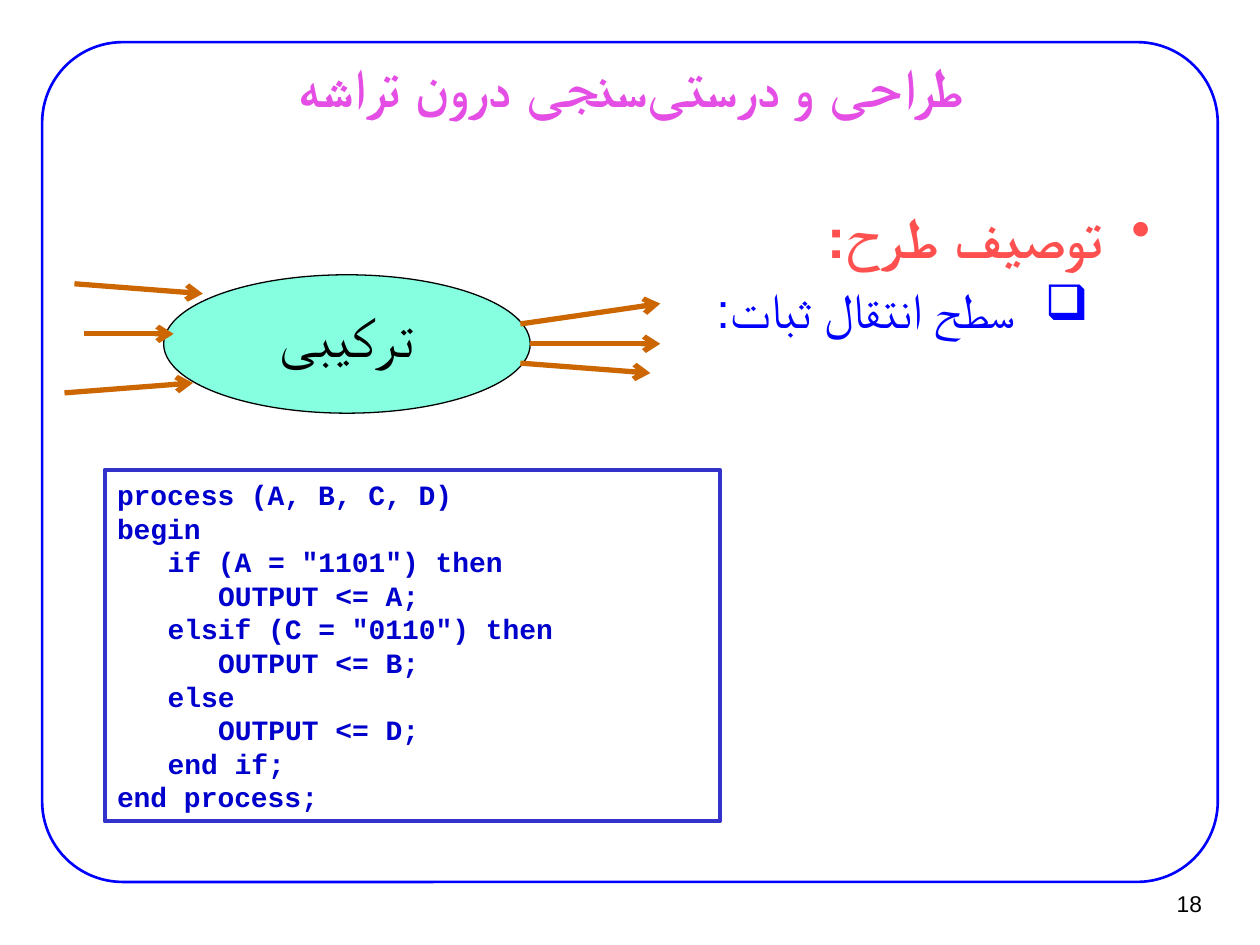
from dataclasses import dataclass
from typing import Optional

from lxml.etree import SubElement
from pptx import Presentation
from pptx.dml.color import RGBColor
from pptx.enum.shapes import MSO_CONNECTOR, MSO_SHAPE
from pptx.enum.text import MSO_ANCHOR, PP_ALIGN
from pptx.oxml.ns import qn
from pptx.util import Cm, Pt

BLACK = RGBColor(0x00, 0x00, 0x00)
BLUE = RGBColor(0x00, 0x00, 0xFF)
CODE_BLUE = RGBColor(0x00, 0x00, 0xCC)
BORDER_BLUE = RGBColor(0x33, 0x33, 0xCC)
PINK = RGBColor(0xE4, 0x4E, 0xE4)
RED = RGBColor(0xFF, 0x50, 0x50)
MINT = RGBColor(0x85, 0xFF, 0xE0)
ORANGE = RGBColor(0xCC, 0x66, 0x00)


@dataclass(frozen=True)
class Box:
    left: float
    top: float
    width: float
    height: float

    def lengths(self) -> tuple:
        return Cm(self.left), Cm(self.top), Cm(self.width), Cm(self.height)


@dataclass(frozen=True)
class Style:
    size: float
    color: RGBColor
    font: str = "Arial"
    bold: bool = False


@dataclass(frozen=True)
class Bullet:
    text: str
    symbol: str
    margin: float
    hanging: float
    level: int
    style: Style


@dataclass(frozen=True)
class Arrow:
    start_x: float
    start_y: float
    end_x: float
    end_y: float


@dataclass(frozen=True)
class CodeLine:
    depth: int
    text: str


ZERO_WIDTH_NON_JOINER = chr(0x200C)
TITLE = ZERO_WIDTH_NON_JOINER.join(["طراحی و درستی", "سنجی درون تراشه"])
CODE_INDENT = 1.02
CODE_STYLE = Style(16, CODE_BLUE, "Courier New", True)
CODE_LINES = [
    CodeLine(0, "process (A, B, C, D)"),
    CodeLine(0, "begin"),
    CodeLine(1, 'if (A = "1101") then'),
    CodeLine(2, "OUTPUT <= A;"),
    CodeLine(1, 'elsif (C = "0110") then'),
    CodeLine(2, "OUTPUT <= B;"),
    CodeLine(1, "else"),
    CodeLine(2, "OUTPUT <= D;"),
    CodeLine(1, "end if;"),
    CodeLine(0, "end process;"),
]
BULLETS = [
    Bullet("توصیف طرح:", "•", 0.97, 0.97, 0, Style(32, RED, bold=True)),
    Bullet("سطح انتقال ثبات:", "❑", 2.74, 1.47, 1, Style(28, BLUE)),
]
ARROWS = [
    Arrow(1.5, 5.72, 4.09, 5.92),
    Arrow(1.7, 6.73, 3.5, 6.73),
    Arrow(1.3, 7.92, 3.89, 7.72),
    Arrow(10.49, 7.32, 13.11, 7.52),
    Arrow(10.49, 6.53, 13.31, 6.12),
    Arrow(10.69, 6.93, 13.31, 6.93),
]


def add_run(paragraph, text: str, style: Style) -> None:
    run = paragraph.add_run()
    run.text = text
    run.font.size = Pt(style.size)
    run.font.name = style.font
    run.font.bold = style.bold
    run.font.color.rgb = style.color
    SubElement(run._r.get_or_add_rPr(), qn("a:cs"), typeface=style.font)


def add_outline(slide, kind: MSO_SHAPE, box: Box, line: RGBColor,
                weight: float, fill: Optional[RGBColor] = None):
    shape = slide.shapes.add_shape(kind, *box.lengths())
    shape.shadow.inherit = False
    shape.line.color.rgb = line
    shape.line.width = Pt(weight)
    if fill is None:
        shape.fill.background()
    else:
        shape.fill.solid()
        shape.fill.fore_color.rgb = fill
    return shape


def add_text_frame(slide, box: Box, inset_x: float, inset_y: float,
                   anchor: MSO_ANCHOR):
    frame = slide.shapes.add_textbox(*box.lengths()).text_frame
    frame.word_wrap = True
    frame.vertical_anchor = anchor
    frame.margin_left = frame.margin_right = Cm(inset_x)
    frame.margin_top = frame.margin_bottom = Cm(inset_y)
    return frame


def next_paragraph(frame, index: int):
    return frame.add_paragraph() if index else frame.paragraphs[0]


def add_bullets(frame, bullets: list[Bullet]) -> None:
    for index, bullet in enumerate(bullets):
        paragraph = next_paragraph(frame, index)
        paragraph.alignment = PP_ALIGN.RIGHT
        paragraph.level = bullet.level
        paragraph.space_before = Pt(bullet.style.size * 0.2)
        properties = paragraph._p.get_or_add_pPr()
        properties.set("rtl", "1")
        properties.set("marL", str(Cm(bullet.margin)))
        properties.set("indent", str(-Cm(bullet.hanging)))
        SubElement(properties, qn("a:buChar"), char=bullet.symbol)
        add_run(paragraph, bullet.text, bullet.style)


def add_arrow(slide, arrow: Arrow) -> None:
    connector = slide.shapes.add_connector(
        MSO_CONNECTOR.STRAIGHT, Cm(arrow.start_x), Cm(arrow.start_y),
        Cm(arrow.end_x), Cm(arrow.end_y))
    connector.line.color.rgb = ORANGE
    connector.line.width = Pt(3)
    SubElement(connector.line._get_or_add_ln(), qn("a:tailEnd"), type="arrow")
    SubElement(connector._element.spPr, qn("a:effectLst"))


def add_code(slide, box: Box, lines: list[CodeLine]) -> None:
    frame = add_outline(slide, MSO_SHAPE.RECTANGLE, box, BORDER_BLUE, 2.25).text_frame
    frame.vertical_anchor = MSO_ANCHOR.MIDDLE
    for index, line in enumerate(lines):
        paragraph = next_paragraph(frame, index)
        paragraph.alignment = PP_ALIGN.LEFT
        properties = paragraph._p.get_or_add_pPr()
        properties.set("marL", str(Cm(line.depth * CODE_INDENT)))
        add_run(paragraph, line.text, CODE_STYLE)


def main() -> None:
    presentation = Presentation()
    presentation.slide_width = Cm(25.4)
    presentation.slide_height = Cm(19.05)
    slide = presentation.slides.add_slide(presentation.slide_layouts[6])

    border = add_outline(slide, MSO_SHAPE.ROUNDED_RECTANGLE,
                         Box(0.85, 0.85, 23.7, 16.93), BLUE, 1.5)
    border.adjustments[0] = 0.096

    title = add_text_frame(slide, Box(1.93, 1.12, 21.59, 1.24), 0.28, 0.15,
                           MSO_ANCHOR.MIDDLE).paragraphs[0]
    title.alignment = PP_ALIGN.CENTER
    add_run(title, TITLE, Style(31, PINK, bold=True))

    body = add_text_frame(slide, Box(1.9, 3.94, 21.59, 4.72), 0.28, 0.15, MSO_ANCHOR.TOP)
    add_bullets(body, BULLETS)

    number = add_text_frame(slide, Box(22.91, 17.75, 1.55, 0.94), 0.23, 0.1,
                            MSO_ANCHOR.MIDDLE).paragraphs[0]
    number.alignment = PP_ALIGN.RIGHT
    add_run(number, "18", Style(13, BLACK))

    ellipse = add_outline(slide, MSO_SHAPE.OVAL, Box(3.3, 5.54, 7.39, 2.79),
                          BLACK, 0.75, MINT)
    ellipse.text_frame.vertical_anchor = MSO_ANCHOR.TOP
    label = ellipse.text_frame.paragraphs[0]
    label.alignment = PP_ALIGN.CENTER
    add_run(label, "ترکیبی", Style(32, BLACK, "Times New Roman"))

    for arrow in ARROWS:
        add_arrow(slide, arrow)
    add_code(slide, Box(2.11, 9.47, 12.4, 7.09), CODE_LINES)
    presentation.save("out.pptx")


if __name__ == "__main__":
    main()
